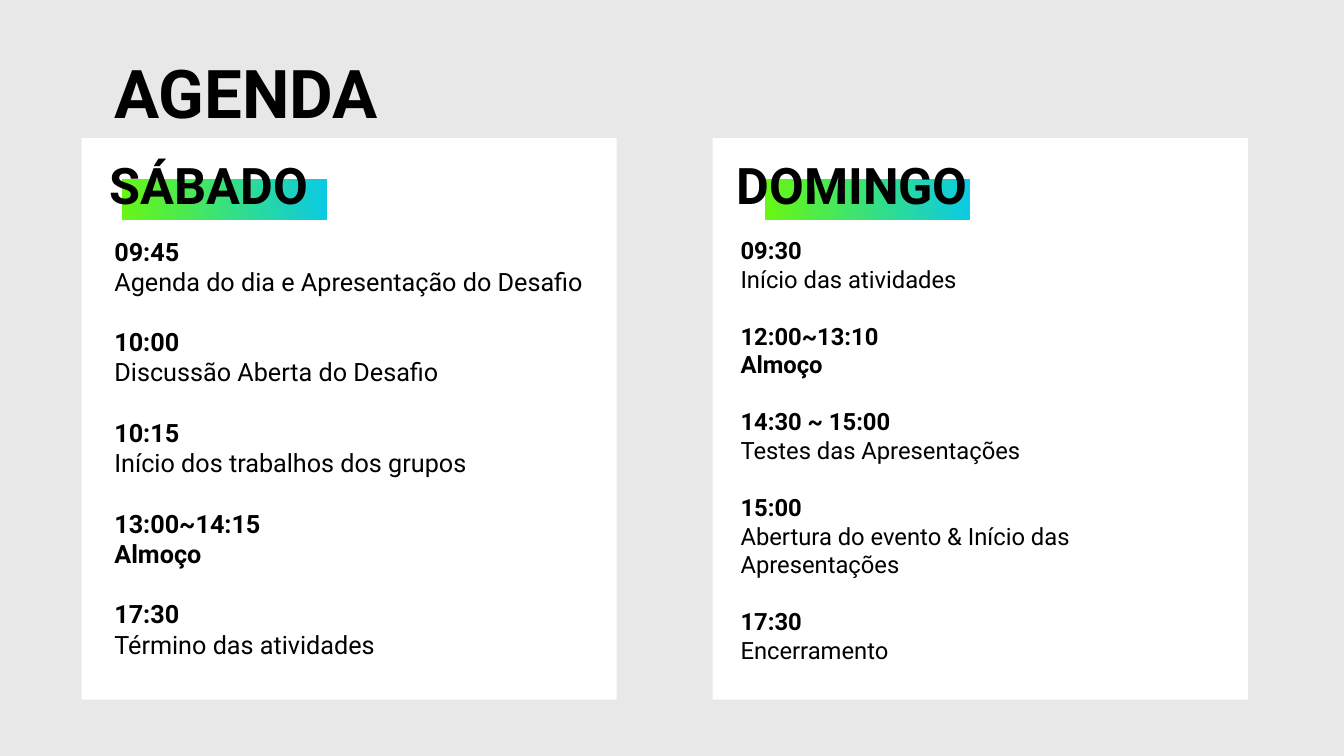
from dataclasses import dataclass
from pptx import Presentation
from pptx.dml.color import RGBColor
from pptx.enum.shapes import MSO_SHAPE
from pptx.util import Inches, Pt


@dataclass(frozen=True)
class Theme:
    font: str = "Roboto"
    ink: RGBColor = RGBColor(0, 0, 0)
    page: RGBColor = RGBColor(0xE8, 0xE8, 0xE8)
    card: RGBColor = RGBColor(255, 255, 255)
    bar_start: RGBColor = RGBColor(0x67, 0xF7, 0x14)
    bar_end: RGBColor = RGBColor(0x0B, 0xCA, 0xE3)
    title: int = 96
    heading: int = 72
    line: float = 1.2


T = Theme()
LUNCH = "Almoço"

SATURDAY = [
    ("09:45", "Agenda do dia e Apresentação do Desafio"),
    ("10:00", "Discussão Aberta do Desafio"),
    ("10:15", "Início dos trabalhos dos grupos"),
    ("13:00~14:15", LUNCH),
    ("17:30", "Término das atividades"),
]
SUNDAY = [
    ("09:30", "Início das atividades"),
    ("12:00~13:10", LUNCH),
    ("14:30 ~ 15:00", "Testes das Apresentações"),
    ("15:00", "Abertura do evento & Início das Apresentações"),
    ("17:30", "Encerramento"),
]


def share(box, left, top, width, height):
    x, y, w, h = box
    return (int(x + w * left / 100), int(y + h * top / 100),
            int(w * width / 100), int(h * height / 100))


def add_rect(s, box):
    sp = s.shapes.add_shape(MSO_SHAPE.RECTANGLE, *box)
    sp.shadow.inherit = False
    sp.line.fill.background()
    return sp


def add_text(s, box, lines, size):
    tf = s.shapes.add_textbox(*box).text_frame
    tf.word_wrap = True
    tf.margin_left = tf.margin_right = tf.margin_top = tf.margin_bottom = Inches(0.1)
    for i, (text, bold, gap) in enumerate(lines):
        p = tf.add_paragraph() if i else tf.paragraphs[0]
        p.text = text
        p.space_before = Pt(gap)
        p.font.name = T.font
        p.font.size = Pt(size)
        p.font.bold = bold
        p.font.color.rgb = T.ink


def add_bar(s, box):
    fill = add_rect(s, box).fill
    fill.gradient()
    fill.gradient_angle = 0
    for stop, color, position in zip(fill.gradient_stops, (T.bar_start, T.bar_end), (0, 1)):
        stop.color.rgb = color
        stop.position = position


def add_day(s, box, heading, items, size, bar_left, heading_left, list_left):
    card = add_rect(s, box)
    card.fill.solid()
    card.fill.fore_color.rgb = T.card
    add_bar(s, share(box, bar_left, 7.2, 38.3, 7.36))
    add_text(s, share(box, heading_left, 2, 46, 13.4), [(heading, True, 0)], T.heading)
    lines = []
    for i, (time, activity) in enumerate(items):
        lines.append((time, True, size * T.line if i else 0))
        lines.append((activity, activity == LUNCH, 0))
    add_text(s, share(box, list_left, 16.5, 90.7, 76.4), lines, size)


def main():
    prs = Presentation()
    prs.slide_width, prs.slide_height = Inches(26.67), Inches(15)
    s = prs.slides.add_slide(prs.slide_layouts[6])
    s.background.fill.solid()
    s.background.fill.fore_color.rgb = T.page
    page = (0, 0, prs.slide_width, prs.slide_height)

    add_text(s, share(page, 8.14, 6.13, 38.32, 11.87), [("AGENDA", True, 0)], T.title)
    add_day(s, share(page, 6.07, 18.27, 39.82, 74.27), "SÁBADO", SATURDAY, 36, 7.5, 4.3, 5.2)
    add_day(s, share(page, 53.02, 18.27, 39.82, 74.27), "DOMINGO", SUNDAY, 34, 9.8, 3.6, 4.3)
    prs.save("out.pptx")


if __name__ == "__main__":
    main()
